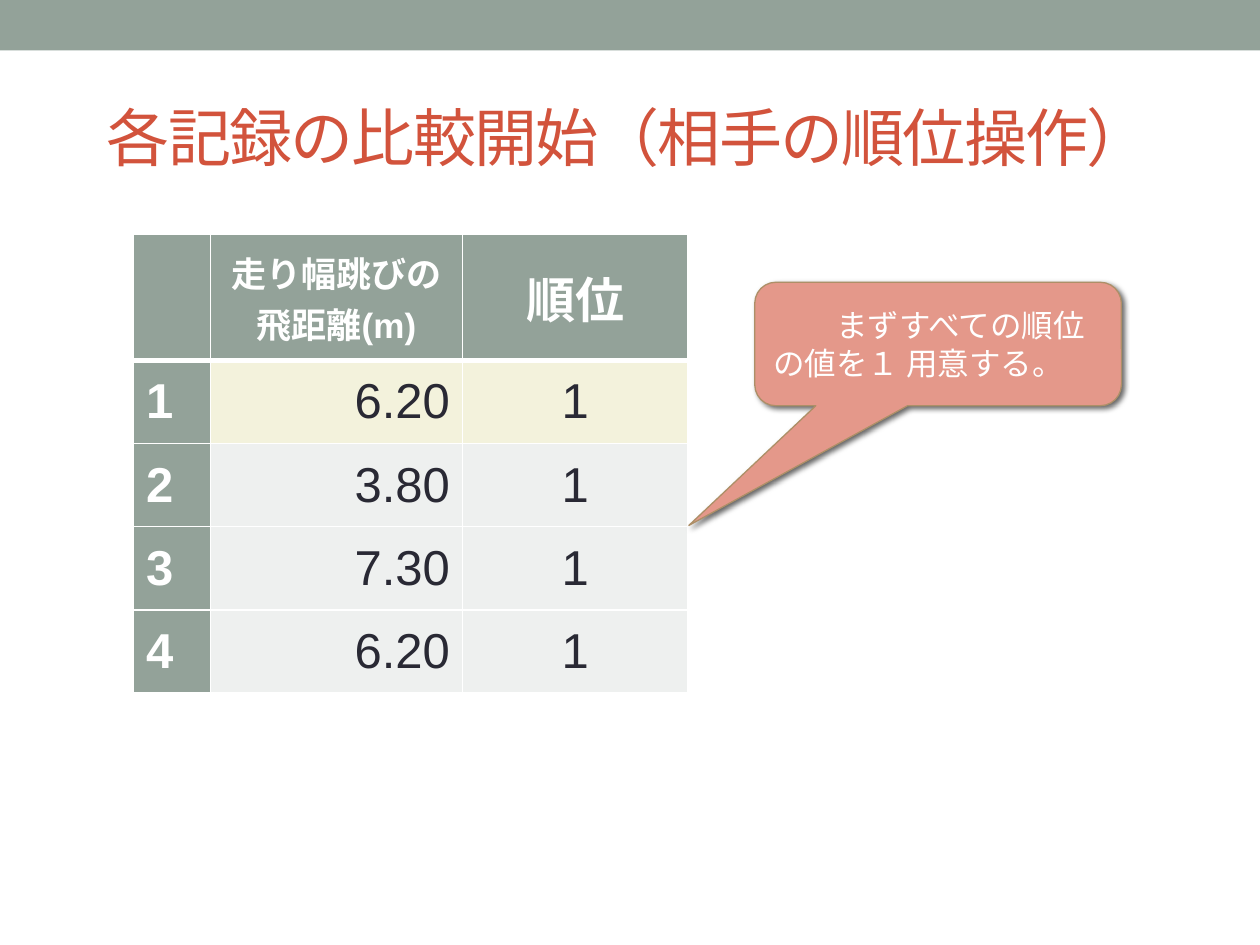
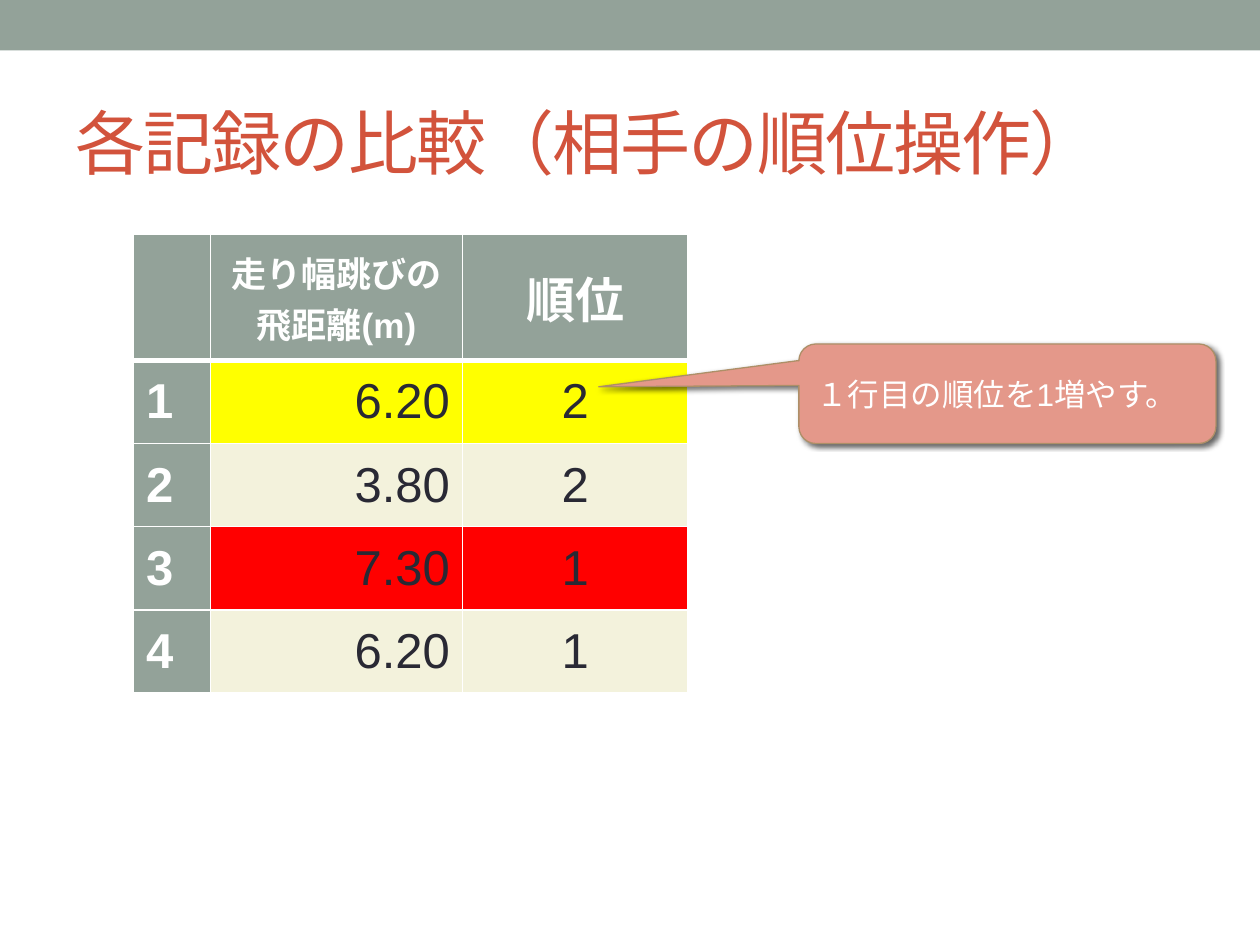
from dataclasses import dataclass
from typing import Any

from lxml.etree import SubElement as Sub
from pptx import Presentation
from pptx.dml.color import RGBColor as RGB
from pptx.enum.lang import MSO_LANGUAGE_ID as Lang
from pptx.enum.shapes import MSO_SHAPE as Form
from pptx.enum.text import MSO_ANCHOR as Anchor, PP_ALIGN as Align
from pptx.oxml.ns import qn
from pptx.util import Inches, Pt


@dataclass(frozen=True)
class Theme:
    font: str = "Arial"
    sage: str = "93A299"
    rust: str = "D2533C"
    white: str = "FFFFFF"
    ink: str = "292934"
    cream: str = "F3F2DC"
    pale: str = "EEF0EF"
    yellow: str = "FFFF00"
    red: str = "FF0000"
    coral: str = "E4988A"
    edge: str = "AD8F67"
    black: str = "000000"
    label: int = 20
    cell: int = 28
    note: int = 18


@dataclass(frozen=True)
class Box:
    left: float
    top: float
    width: float
    height: float

    def place(self) -> tuple:
        return tuple(map(Inches, (self.left, self.top, self.width, self.height)))


@dataclass(frozen=True)
class Title:
    text: str
    box: Box
    size: int


@dataclass(frozen=True)
class Callout:
    text: str
    box: Box
    tip: tuple[float, float]
    indent: float = 0


@dataclass(frozen=True)
class Page:
    title: Title
    ranks: tuple[int, ...]
    fills: tuple[str, ...]
    callout: Callout


T = Theme()
BAND = Box(0, 0, 10, 0.4)
GRID = Box(1.06, 1.86, 4.4, 3.64)
COLS = (0.61, 2, 1.79)
ROWS = (1,) + (0.66,) * 4
HEADS = ("", "走り幅跳びの\n飛距離(m)", "順位")
JUMPS = ("6.20", "3.80", "7.30", "6.20")
SIDES = (Align.LEFT, Align.RIGHT, Align.CENTER)

PAGES = (
    Page(
        Title("各記録の比較開始（相手の順位操作）", Box(0.75, 0.6, 8.74, 0.96), 36),
        (1, 1, 1, 1),
        (T.cream, T.pale, T.pale, T.pale),
        Callout("まずすべての順位の値を１ 用意する。", Box(5.99, 2.24, 2.91, 0.98),
                (-0.68, 1.47), 0.5),
    ),
    Page(
        Title("各記録の比較（相手の順位操作）", Box(0.5, 0.58, 9, 1.08), 40),
        (2, 2, 1, 1),
        (T.yellow, T.cream, T.red, T.cream),
        Callout("１行目の順位を1増やす。", Box(6.34, 2.73, 3.31, 0.79), (-0.98, -0.07)),
    ),
)


def paint(fill: Any, color: str) -> None:
    fill.solid()
    fill.fore_color.rgb = RGB.from_string(color)


def write(frame: Any, text: str, size: int, color: str,
          bold: bool = False, side: Align = Align.LEFT) -> None:
    style = {"name": T.font, "size": Pt(size), "bold": bold,
             "language_id": Lang.JAPANESE}
    frame.text = text
    for para in frame.paragraphs:
        para.alignment = side
        for run in para.runs:
            for key, value in style.items():
                setattr(run.font, key, value)
            run.font.color.rgb = RGB.from_string(color)


def draw_band(slide: Any) -> None:
    band = slide.shapes.add_shape(Form.RECTANGLE, *BAND.place())
    band.shadow.inherit = False
    paint(band.fill, T.sage)
    band.line.fill.background()


def draw_title(slide: Any, title: Title) -> None:
    frame = slide.shapes.add_textbox(*title.box.place()).text_frame
    frame.word_wrap = True
    frame.vertical_anchor = Anchor.MIDDLE
    write(frame, title.text, title.size, T.rust)
    frame.paragraphs[0].runs[0].font._element.set("spc", "-100")


def rule(cell: Any, base: float) -> None:
    props = cell._tc.get_or_add_tcPr()
    for name, width in {"lnL": 1, "lnR": 1, "lnT": 1, "lnB": base}.items():
        line = Sub(props, qn(f"a:{name}"), w=str(Pt(width)))
        Sub(Sub(line, qn("a:solidFill")), qn("a:srgbClr"), val=T.white)


def draw_grid(slide: Any, page: Page) -> None:
    grid = slide.shapes.add_table(len(ROWS), len(COLS), *GRID.place()).table
    for col, width in zip(grid.columns, COLS):
        col.width = Inches(width)
    for row, height in zip(grid.rows, ROWS):
        row.height = Inches(height)
    body = [(str(n), jump, str(rank))
            for n, (jump, rank) in enumerate(zip(JUMPS, page.ranks), 1)]
    for r, texts in enumerate([HEADS, *body]):
        for c, text in enumerate(texts):
            cell = grid.cell(r, c)
            head = r == 0 or c == 0
            rule(cell, 3 if r == 0 else 1)
            paint(cell.fill, T.sage if head else page.fills[r - 1])
            cell.vertical_anchor = Anchor.MIDDLE
            write(cell.text_frame, text, T.label if (r, c) == (0, 1) else T.cell,
                  T.white if head else T.ink, head,
                  Align.CENTER if r == 0 else SIDES[c])


def cast(shape: Any) -> None:
    shape.shadow.inherit = False
    effects = shape._element.spPr.find(qn("a:effectLst"))
    shade = Sub(effects, qn("a:outerShdw"), blurRad=str(Pt(3)), dist=str(Pt(2)),
                dir="2700000", algn="tl", rotWithShape="0")
    color = Sub(shade, qn("a:srgbClr"), val=T.black)
    Sub(color, qn("a:alpha"), val="60000")


def draw_callout(slide: Any, note: Callout) -> None:
    shape = slide.shapes.add_shape(Form.ROUNDED_RECTANGULAR_CALLOUT, *note.box.place())
    for i, value in enumerate((*note.tip, 0.17)):
        shape.adjustments[i] = value
    paint(shape.fill, T.coral)
    paint(shape.line.fill, T.edge)
    shape.line.width = Pt(0.75)
    cast(shape)
    frame = shape.text_frame
    frame.word_wrap = True
    frame.vertical_anchor = Anchor.MIDDLE
    write(frame, note.text, T.note, T.white)
    props = frame.paragraphs[0]._p.get_or_add_pPr()
    props.set("indent", str(Inches(note.indent)))


def main() -> None:
    deck = Presentation()
    deck.slide_width, deck.slide_height = Inches(10), Inches(7.5)
    for page in PAGES:
        slide = deck.slides.add_slide(deck.slide_layouts[6])
        draw_band(slide)
        draw_title(slide, page.title)
        draw_grid(slide, page)
        draw_callout(slide, page.callout)
    deck.save("out.pptx")


if __name__ == "__main__":
    main()
